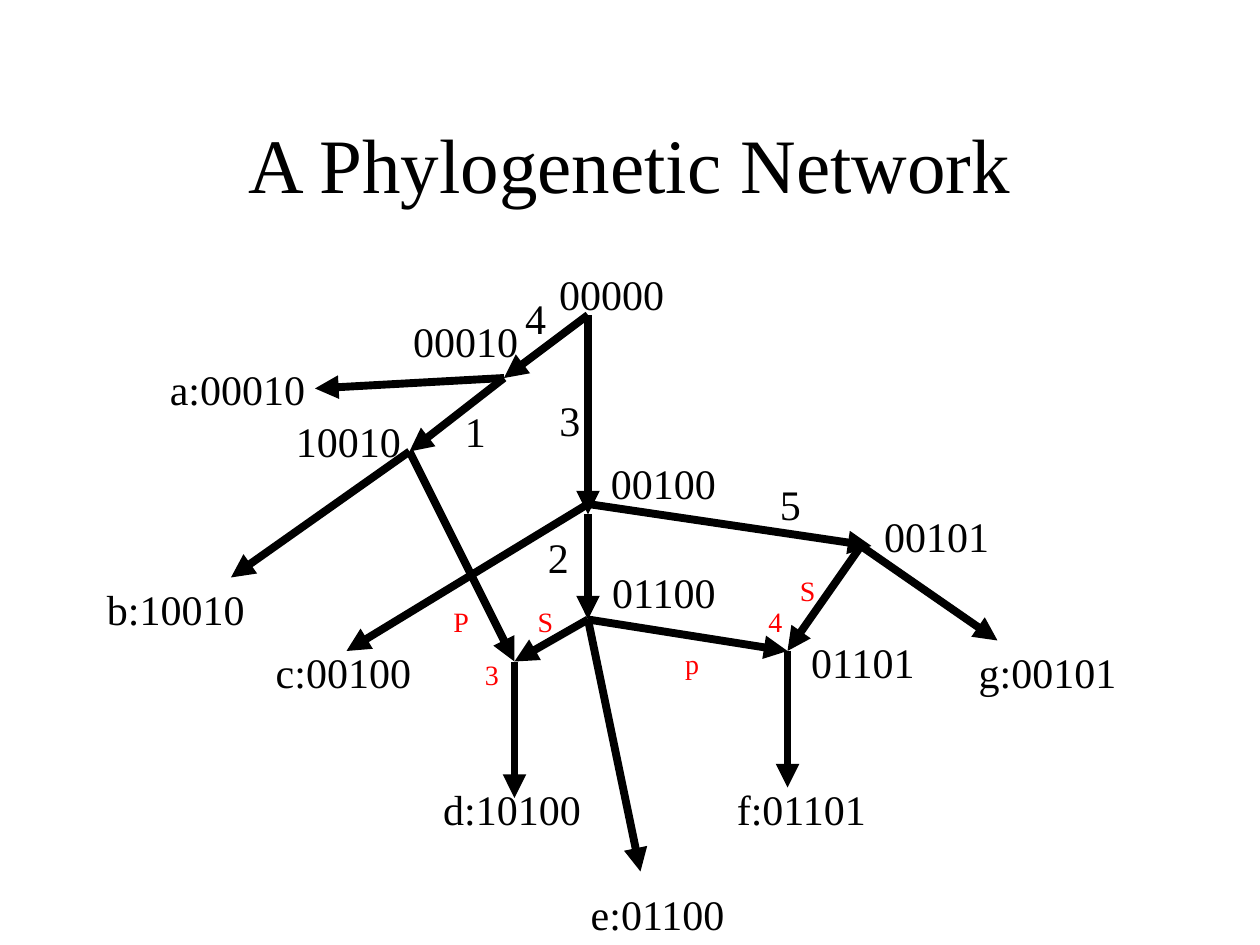
import dataclasses

import lxml.etree
import pptx
import pptx.dml.color
import pptx.enum.shapes
import pptx.enum.text
import pptx.oxml.ns
import pptx.slide
import pptx.util

COLORS = {"background": "FFFFFF", "ink": "000000", "recombination": "FF0000"}
FONT = "Times New Roman"
EDGE_WIDTH = 4.5

# Points of the network (x, y); the root's child is left just below its own tip
NODES = {
    "00000": (336, 180),
    "00010": (288, 216),
    "10010": (234, 258),
    "00100": (336, 288),
    "00100 tip": (336, 294),
    "01100": (336, 354),
    "00101 tip": (498, 312),
    "00101": (492, 312),
    "10100": (294, 378),
    "01101": (450, 372),
    "a": (180, 222),
    "b": (132, 330),
    "c": (198, 372),
    "d": (294, 456),
    "e": (366, 498),
    "f": (450, 450),
    "g": (570, 366),
}


@dataclasses.dataclass
class Edge:
    start: str
    end: str


@dataclasses.dataclass
class Label:
    text: str
    left: float
    top: float
    width: float


EDGES = [
    Edge("00000", "00100 tip"),
    Edge("00100", "00101 tip"),
    Edge("00000", "00010"),
    Edge("00100 tip", "01100"),
    Edge("10010", "b"),
    Edge("00100", "c"),
    Edge("01100", "10100"),
    Edge("10010", "10100"),
    Edge("01100", "01101"),
    Edge("10100", "d"),
    Edge("00101", "01101"),
    Edge("01101", "f"),
    Edge("00101", "g"),
    Edge("00010", "10010"),
    Edge("00010", "a"),
    Edge("01100", "e"),
]

# Sequences and mutated sites
SEQUENCE_LABELS = [
    Label("00000", 312.5, 150, 74.2),
    Label("5", 438.5, 270, 26),
    Label("2", 306, 300, 26),
    Label("3", 312.5, 222, 26),
    Label("1", 258.5, 228, 26),
    Label("4", 293, 163.5, 26),
    Label("a:00010", 90, 204, 91.5),
    Label("b:10010", 54, 330, 93),
    Label("c:00100", 150.5, 366, 91.5),
    Label("10010", 162, 234, 74.2),
    Label("01100", 342.7, 320.4, 74.2),
    Label("d:10100", 246.2, 444, 93),
    Label("e:01100", 330.5, 504, 91.5),
    Label("00101", 498.2, 288, 74.2),
    Label("01101", 456.5, 360, 74.2),
    Label("f:01101", 414, 444, 88.5),
    Label("g:00101", 552.2, 366, 93),
    Label("00100", 342, 258, 74.2),
    Label("00010", 229, 177, 74.2),
]

# Prefix, suffix and crossover marks
RECOMBINATION_LABELS = [
    Label("3", 270, 372, 22.4),
    Label("4", 432, 342, 22.4),
    Label("S", 300.2, 342, 23),
    Label("p", 384.5, 366, 22.4),
    Label("P", 252, 342, 23),
    Label("S", 450, 324, 23),
]


def rgb(name: str) -> pptx.dml.color.RGBColor:
    return pptx.dml.color.RGBColor.from_string(COLORS[name])


def add_text(slide: pptx.slide.Slide, text: str, *, left: float, top: float,
             width: float, height: float, size: float, color: str = "ink",
             wrap: bool = False, centered: bool = False) -> None:
    shape = slide.shapes.add_textbox(*map(pptx.util.Pt, (left, top, width, height)))
    frame = shape.text_frame
    frame.word_wrap = wrap
    paragraph = frame.paragraphs[0]
    if centered:
        frame.vertical_anchor = pptx.enum.text.MSO_ANCHOR.MIDDLE
        paragraph.alignment = pptx.enum.text.PP_ALIGN.CENTER
    run = paragraph.add_run()
    run.text = text
    run.font.name = FONT
    run.font.size = pptx.util.Pt(size)
    run.font.color.rgb = rgb(color)


def add_edge(slide: pptx.slide.Slide, edge: Edge) -> None:
    connector = slide.shapes.add_connector(
        pptx.enum.shapes.MSO_CONNECTOR.STRAIGHT,
        *map(pptx.util.Pt, NODES[edge.start] + NODES[edge.end]))
    connector.line.color.rgb = rgb("ink")
    connector.line.width = pptx.util.Pt(EDGE_WIDTH)
    # Arrowhead and no shadow
    qualified = pptx.oxml.ns.qn
    outline = connector.line._get_or_add_ln()
    lxml.etree.SubElement(outline, qualified("a:tailEnd"), type="triangle")
    lxml.etree.SubElement(connector._element.spPr, qualified("a:effectLst"))


def add_labels(slide: pptx.slide.Slide, labels: list[Label], *, size: float,
               height: float, color: str) -> None:
    for label in labels:
        add_text(slide, label.text, left=label.left, top=label.top,
                 width=label.width, height=height, size=size, color=color)


def main() -> None:
    presentation = pptx.Presentation()
    presentation.slide_width = pptx.util.Pt(720)
    presentation.slide_height = pptx.util.Pt(540)
    slide = presentation.slides.add_slide(presentation.slide_layouts[6])
    slide.background.fill.solid()
    slide.background.fill.fore_color.rgb = rgb("background")

    # Title
    add_text(slide, "A Phylogenetic Network", left=54, top=48, width=612,
             height=90, size=44, wrap=True, centered=True)

    # Network
    for edge in EDGES:
        add_edge(slide, edge)
    add_labels(slide, RECOMBINATION_LABELS, size=16, height=26.6, color="recombination")
    add_labels(slide, SEQUENCE_LABELS, size=24, height=36, color="ink")

    presentation.save("out.pptx")


if __name__ == "__main__":
    main()
